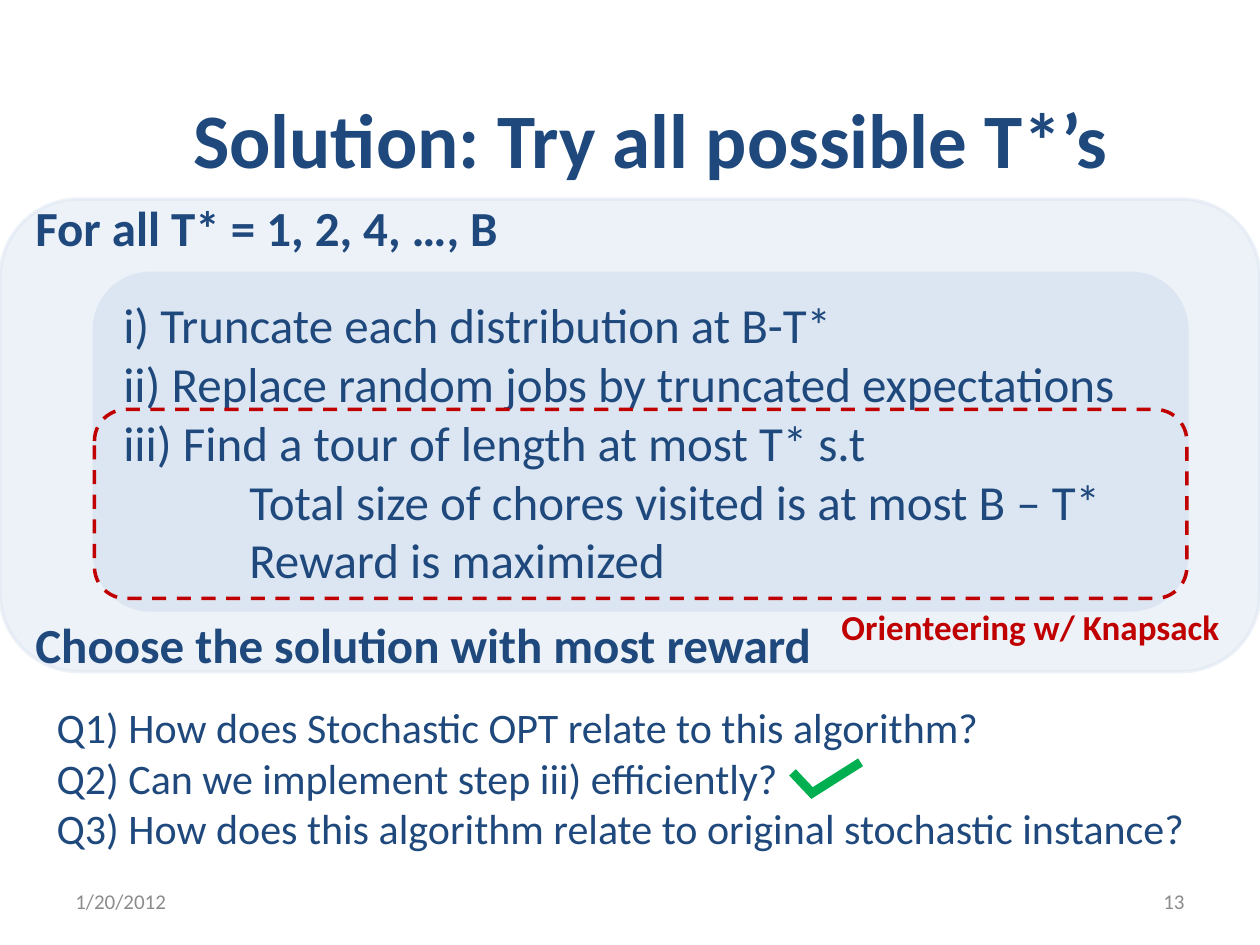
from dataclasses import dataclass
from typing import Optional

from lxml.etree import SubElement
from pptx import Presentation
from pptx.dml.color import RGBColor
from pptx.enum.dml import MSO_LINE
from pptx.enum.shapes import MSO_CONNECTOR, MSO_SHAPE
from pptx.enum.text import MSO_ANCHOR, MSO_AUTO_SIZE, PP_ALIGN
from pptx.oxml.ns import qn
from pptx.util import Inches, Pt

INK = {
    "navy": "1F497D",
    "pale": "DCE6F2",
    "red": "C00000",
    "green": "00B050",
    "gray": "8C8C8C",
}


@dataclass
class Box:
    left: float
    top: float
    width: float
    height: float

    def lengths(self):
        return [Inches(v) for v in (self.left, self.top, self.width, self.height)]


@dataclass
class Panel:
    box: Box
    line: str
    fill: Optional[str] = None
    alpha: int = 100
    dash: bool = False
    text: str = ""
    bold: bool = False


@dataclass
class Label:
    box: Box
    text: str
    size: int
    color: str
    bold: bool = False
    align: PP_ALIGN = PP_ALIGN.LEFT
    anchor: MSO_ANCHOR = MSO_ANCHOR.MIDDLE


@dataclass
class Stroke:
    start: tuple
    end: tuple


def paint(color) -> RGBColor:
    return RGBColor.from_string(INK[color])


def fade(props, alpha: int) -> None:
    for tint in props.iter(qn("a:srgbClr")):
        SubElement(tint, qn("a:alpha")).set("val", str(alpha * 1000))


def write(frame, text: str, size: int, color: str, bold: bool = False,
          align: PP_ALIGN = PP_ALIGN.LEFT,
          anchor: MSO_ANCHOR = MSO_ANCHOR.MIDDLE) -> None:
    frame.text = text
    frame.word_wrap = True
    frame.auto_size = MSO_AUTO_SIZE.NONE
    frame.vertical_anchor = anchor
    for para in frame.paragraphs:
        para.alignment = align
        for run in para.runs:
            font = run.font
            font.name = "Calibri"
            font.size = Pt(size)
            font.bold = bold
            font.color.rgb = paint(color)


def place(shape, box: Box) -> None:
    shape.left, shape.top, shape.width, shape.height = box.lengths()


def add_panel(slide, panel: Panel):
    shape = slide.shapes.add_shape(MSO_SHAPE.ROUNDED_RECTANGLE, *panel.box.lengths())
    shape.shadow.inherit = False
    if panel.fill:
        shape.fill.solid()
        shape.fill.fore_color.rgb = paint(panel.fill)
    else:
        shape.fill.background()
    shape.line.color.rgb = paint(panel.line)
    shape.line.width = Pt(2)
    if panel.dash:
        shape.line.dash_style = MSO_LINE.DASH
    if panel.alpha < 100:
        fade(shape._element.spPr, panel.alpha)
    if panel.text:
        write(shape.text_frame, panel.text, 28, "navy", panel.bold)
    return shape


def add_label(slide, label: Label) -> None:
    shape = slide.shapes.add_textbox(*label.box.lengths())
    write(shape.text_frame, label.text, label.size, label.color,
          label.bold, label.align, label.anchor)


def add_stroke(slide, stroke: Stroke) -> None:
    ends = [Inches(v) for v in stroke.start + stroke.end]
    line = slide.shapes.add_connector(MSO_CONNECTOR.STRAIGHT, *ends)
    line.line.color.rgb = paint("green")
    line.line.width = Pt(5.25)
    SubElement(line._element.spPr, qn("a:effectLst"))


OUTER = Panel(Box(0, 1.58, 10, 3.75), "pale", "pale", alpha=50, bold=True,
              text="For all T* = 1, 2, 4, …, B\nChoose the solution with most reward")
INNER = Panel(Box(0.75, 2.17, 8.67, 2.67), "pale", "pale", text="\n".join([
    "i) Truncate each distribution at B-T*",
    "ii) Replace random jobs by truncated expectations",
    "iii) Find a tour of length at most T* s.t",
    "Total size of chores visited is at most B – T*",
    "Reward is maximized",
]))
FRAME = Panel(Box(0.75, 3.25, 8.67, 1.5), "red", dash=True)
ASKS = "\n".join([
    "Q1) How does Stochastic OPT relate to this algorithm?",
    "Q2) Can we implement step iii) efficiently?",
    "Q3) How does this algorithm relate to original stochastic instance?",
])
LABELS = [
    Label(Box(0.5, 6.95, 2.33, 0.4), "1/20/2012", 12, "gray"),
    Label(Box(7.17, 6.95, 2.33, 0.4), "13", 12, "gray", align=PP_ALIGN.RIGHT),
    Label(Box(6.58, 4.76, 3.33, 0.44), "Orienteering w/ Knapsack", 20, "red",
          bold=True, anchor=MSO_ANCHOR.TOP),
]
CHECK = [
    Stroke((6.29, 6.13), (6.46, 6.31)),
    Stroke((6.42, 6.31), (6.83, 6.05)),
]


def main() -> None:
    deck = Presentation()
    deck.slide_width, deck.slide_height = Inches(10), Inches(7.5)
    slide = deck.slides.add_slide(deck.slide_layouts[1])

    title = slide.shapes.title
    place(title, Box(0.67, 0.47, 9, 1.25))
    write(title.text_frame, "Solution: Try all possible T*’s", 44, "navy",
          bold=True, align=PP_ALIGN.CENTER)

    body = slide.placeholders[1]
    place(body, Box(0.35, 5.52, 9.23, 1.31))
    write(body.text_frame, ASKS, 24, "navy", anchor=MSO_ANCHOR.TOP)
    body.text_frame.word_wrap = False
    for para in body.text_frame.paragraphs:
        para.space_before = Pt(0)
        props = para._p.get_or_add_pPr()
        props.set("marL", "0")
        props.set("indent", "0")
        SubElement(props, qn("a:buNone"))

    outer = add_panel(slide, OUTER)
    outer.text_frame.paragraphs[1].space_before = Pt(205)
    inner = add_panel(slide, INNER)
    for para in inner.text_frame.paragraphs[3:]:
        para._p.get_or_add_pPr().set("marL", str(Inches(1)))
    add_panel(slide, FRAME)

    for label in LABELS:
        add_label(slide, label)
    for stroke in CHECK:
        add_stroke(slide, stroke)

    deck.save("out.pptx")


if __name__ == "__main__":
    main()
